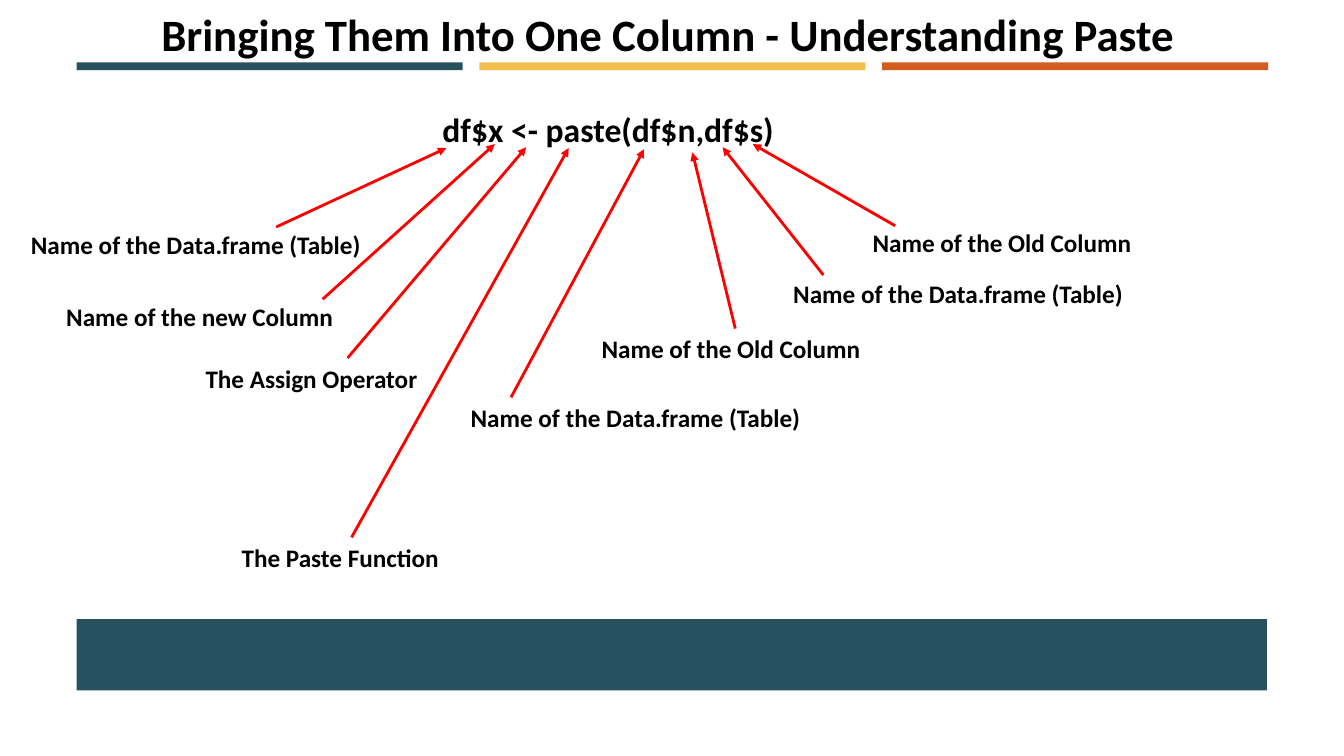
"""Build a slide that labels each part of an R paste() call."""
from lxml import etree
from pptx import Presentation
from pptx import util as u
from pptx.dml.color import RGBColor
from pptx.enum import shapes, text
from pptx.oxml.ns import qn

TEAL = RGBColor(0x27, 0x51, 0x5E)
AMBER = RGBColor(0xF2, 0xBF, 0x4E)
RUST = RGBColor(0xD3, 0x5C, 0x20)
RED = RGBColor(0xFF, 0x00, 0x00)
BLACK = RGBColor(0x00, 0x00, 0x00)

DATA_FRAME = "Name of the Data.frame (Table)"
OLD_COLUMN = "Name of the Old Column"
LABELS = [
    (DATA_FRAME, (0.53, 5.66, 8.84), (6.96, 5.72), (11.25, 3.73)),
    ("Name of the new Column", (1.42, 7.47, 7.44), (8.13, 7.54), (12.47, 3.63)),
    ("The Assign Operator", (4.93, 9.04, 5.89), (8.76, 9.02), (13.26, 3.71)),
    ("The Paste Function", (5.84, 13.54, 5.54), (8.86, 13.54), (14.33, 3.73)),
    (DATA_FRAME, (11.61, 10.01, 8.89), (12.88, 10.01), (16.23, 3.76)),
    (OLD_COLUMN, (14.91, 8.28, 7.24), None, (17.45, 3.84)),
    (DATA_FRAME, (19.74, 6.88, 8.89), (20.75, 6.93), (18.21, 3.71)),
    (OLD_COLUMN, (21.74, 5.61, 7.24), (22.56, 5.69), (18.97, 3.63)),
]


class SlideBuilder:
    """Hold the text style and the current slide."""

    font = "Calibri"
    color = BLACK

    def __init__(self, slide):
        self.slide = slide

    def fill_text(self, box, words, size):
        frame = box.text_frame
        frame.word_wrap = False
        frame.auto_size = text.MSO_AUTO_SIZE.SHAPE_TO_FIT_TEXT
        frame.vertical_anchor = text.MSO_ANCHOR.TOP
        para = frame.paragraphs[0]
        para.alignment = text.PP_ALIGN.LEFT
        span = para.add_run()
        span.text = words
        span.font.name = self.font
        span.font.size = u.Pt(size)
        span.font.bold = True
        span.font.color.rgb = self.color

    def title(self, words, left, top, width, height):
        box = self.slide.shapes.title
        box.left, box.top = u.Cm(left), u.Cm(top)
        box.width, box.height = u.Cm(width), u.Cm(height)
        self.fill_text(box, words, 32)

    def textbox(self, words, left, top, width, height=1.02, size=18):
        box = self.slide.shapes.add_textbox(*map(u.Cm, (left, top, width, height)))
        self.fill_text(box, words, size)
        return box

    def bar(self, color, left, top, width, height):
        bar = self.slide.shapes.add_shape(
            shapes.MSO_SHAPE.RECTANGLE, *map(u.Cm, (left, top, width, height)))
        bar.shadow.inherit = False
        bar.fill.solid()
        bar.fill.fore_color.rgb = color
        bar.line.fill.background()

    def arrow(self, label, start, end):
        arrow = self.slide.shapes.add_connector(
            shapes.MSO_CONNECTOR.STRAIGHT, *map(u.Cm, (start or end) + end))
        if start is None:
            arrow.begin_connect(label, 0)
        arrow.line.color.rgb = RED
        arrow.line.width = u.Pt(2)
        outline = arrow._element.spPr.find(qn("a:ln"))
        etree.SubElement(outline, qn("a:tailEnd"), type="triangle")
        etree.SubElement(arrow._element.spPr, qn("a:effectLst"))


def main():
    deck = Presentation()
    deck.slide_width, deck.slide_height = u.Cm(33.87), u.Cm(19.05)
    page = SlideBuilder(deck.slides.add_slide(deck.slide_layouts[5]))

    page.bar(TEAL, 1.93, 15.6, 30, 1.8)
    for index, color in enumerate((TEAL, AMBER, RUST)):
        page.bar(color, 1.93 + index * 10.15, 1.57, 9.73, 0.2)

    page.title("Bringing Them Into One Column - Understanding Paste",
               3.81, 0.05, 26.26, 1.63)
    page.textbox("df$x <- paste(df$n,df$s)", 10.9, 2.62, 9.14, 1.27, size=24)
    for words, place, start, end in LABELS:
        label = page.textbox(words, *place)
        page.arrow(label, start, end)

    deck.save("out.pptx")


if __name__ == "__main__":
    main()
